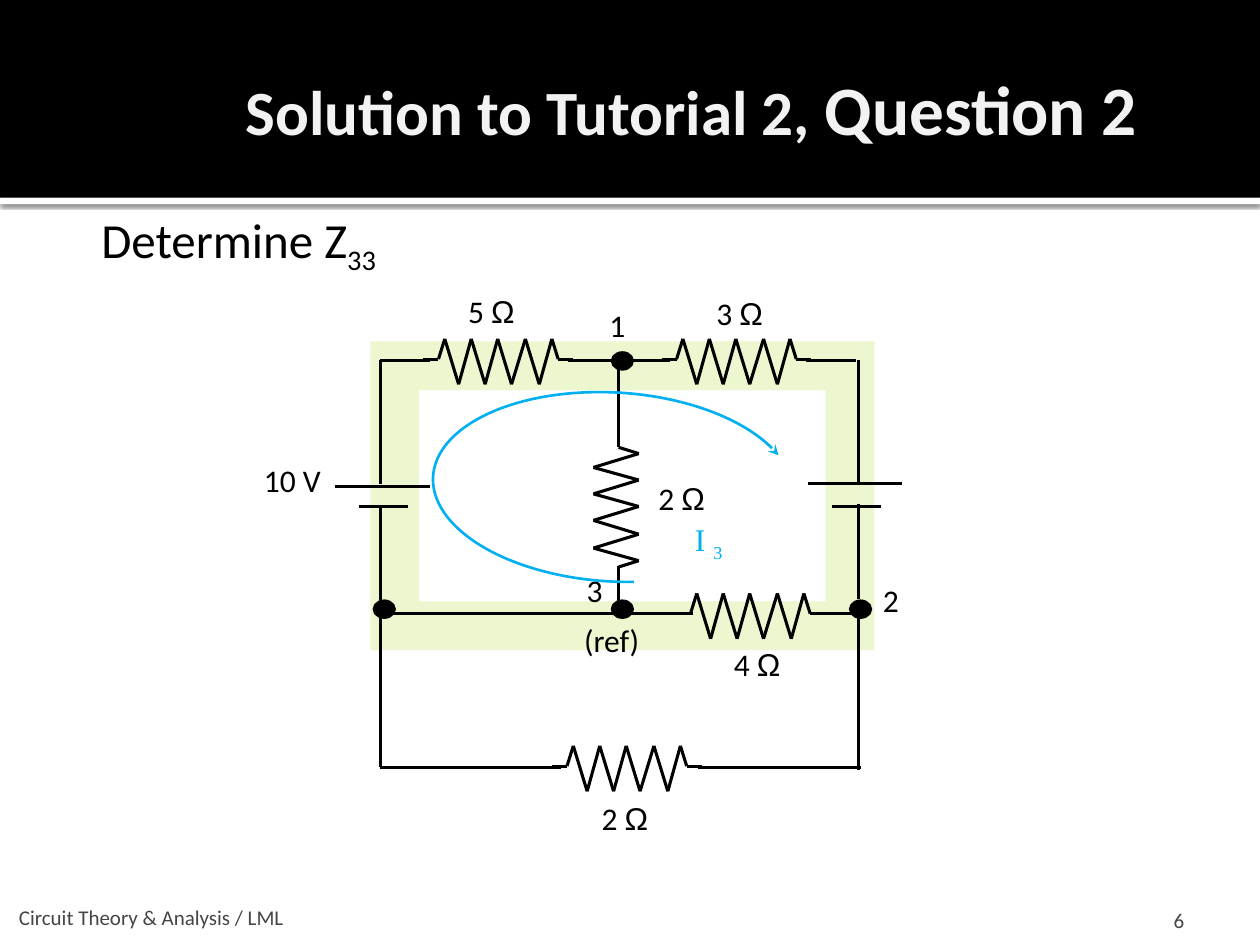
from dataclasses import dataclass
from itertools import pairwise

from lxml.etree import SubElement as Sub
from pptx import Presentation
from pptx.dml.color import RGBColor as RGB
from pptx.enum.shapes import MSO_CONNECTOR as Conn, MSO_SHAPE as Kind
from pptx.enum.text import MSO_ANCHOR as Anchor, MSO_AUTO_SIZE as Auto, PP_ALIGN as Align
from pptx.oxml.ns import qn
from pptx.util import Inches, Pt


@dataclass(frozen=True)
class Theme:
    ink: str = "000000"
    paper: str = "FFFFFF"
    loop: str = "ECF7D0"
    flow: str = "00B0F0"
    head: str = "F2F2F2"
    foot: str = "454545"
    sans: str = "Calibri"
    ohm: str = "Arial"
    serif: str = "Times New Roman"
    small: float = 12
    label: float = 18
    body: float = 28
    title: float = 36
    large: float = 39.6
    wire: float = 1.75
    curve: float = 1.5


class Board:
    """Draws on a slide with a grid of 10 columns by 7.5 rows."""

    def __init__(self, deck, theme):
        self.theme = theme
        self.slide = deck.slides.add_slide(deck.slide_layouts[6])
        self.cell = deck.slide_width / 10

    def grid(self, *vals):
        return [round(v * self.cell) for v in vals]

    def shape(self, kind, box, fill=None, line=None, width=None, adjust=()):
        item = self.slide.shapes.add_shape(kind, *self.grid(*box))
        item.shadow.inherit = False
        for part, color in ((item.fill, fill), (item.line.fill, line)):
            if color:
                part.solid()
                part.fore_color.rgb = RGB.from_string(color)
            else:
                part.background()
        if line:
            item.line.width = Pt(width or self.theme.wire)
        for i, val in enumerate(adjust):
            item.adjustments[i] = val
        return item

    def wire(self, start, end, home=None):
        item = (home or self.slide).shapes.add_connector(
            Conn.STRAIGHT, *self.grid(*start, *end))
        item.line.color.rgb = RGB.from_string(self.theme.ink)
        item.line.width = Pt(self.theme.wire)
        Sub(item._element.spPr, qn("a:effectLst"))

    def coil(self, x, y, down=False):
        """Resistor that starts at (x, y) and runs right or down."""
        along = [0, .12, .17, .28, .38, .49, .59, .7, .81, .92, 1.02, 1.07, 1.19]
        side = [0, 0] + [-.16, .2] * 4 + [-.16, 0, 0]
        path = [(x - b, y + a) if down else (x + a, y + b)
                for a, b in zip(along, side)]
        group = self.slide.shapes.add_group_shape()
        for start, end in pairwise(path):
            self.wire(start, end, group)

    def dot(self, x, y):
        self.shape(Kind.OVAL, (x - .08, y - .06, .16, .13),
                   self.theme.ink, self.theme.ink)

    def text(self, box, runs, align=Align.CENTER, anchor=Anchor.TOP,
             inset=0, wrap=False, **base):
        frame = self.slide.shapes.add_textbox(*self.grid(*box)).text_frame
        form = dict(word_wrap=wrap, vertical_anchor=anchor,
                    auto_size=Auto.NONE if wrap else Auto.SHAPE_TO_FIT_TEXT,
                    margin_left=Inches(inset), margin_right=Inches(inset),
                    margin_top=Inches(inset), margin_bottom=0)
        for key, val in form.items():
            setattr(frame, key, val)
        para = frame.paragraphs[0]
        para.alignment = align
        look = dict(name=self.theme.sans, size=self.theme.label,
                    color=self.theme.ink) | base
        for words, own in runs:
            style = look | own
            run = para.add_run()
            run.text = words
            run.font.color.rgb = RGB.from_string(style.pop("color"))
            style["size"] = Pt(style["size"])
            if style.pop("sub", False):
                run._r.get_or_add_rPr().set("baseline", "-25000")
            for key, val in style.items():
                setattr(run.font, key, val)

    def ohms(self, x, y, val):
        self.text((x, y, .4, .3), [(f"{val} ", {}), ("Ω", {"name": self.theme.ohm})])

    def shade(self, item):
        glow = Sub(item._element.spPr.find(qn("a:effectLst")), qn("a:outerShdw"),
                   blurRad="31750", dist="10160", dir="5400000")
        color = Sub(glow, qn("a:srgbClr"), val=self.theme.ink)
        Sub(color, qn("a:alpha"), val="60000")

    def arrow(self, box, turn, start, end):
        item = self.shape(Kind.ARC, box, None, self.theme.flow, self.theme.curve,
                          (start * .6, end * .6))
        item.rotation = turn
        Sub(item.line._get_or_add_ln(), qn("a:tailEnd"), type="stealth")


def main():
    deck = Presentation()
    deck.slide_width, deck.slide_height = Inches(10), Inches(7.5)
    look = Theme()
    board = Board(deck, look)

    # Title band
    board.shade(board.shape(Kind.RECTANGLE, (0, 1.57, 10, .05), look.paper))
    board.shape(Kind.RECTANGLE, (0, 0, 10, 1.57), look.ink)
    board.text((1.95, .17, 7.55, 1.37),
               [("Solution to Tutorial 2, ", {}), ("Question 2", {"size": look.large})],
               Align.LEFT, Anchor.MIDDLE, wrap=True,
               size=look.title, color=look.head, bold=True)
    board.text((.76, 1.66, 2.27, .47), [("Determine Z", {}), ("33", {"sub": True})],
               size=look.body)

    # Loop highlight
    board.shape(Kind.FRAME, (2.94, 2.71, 4, 2.45), look.loop, adjust=[.158])

    # Wires
    left, mid, right = 3.02, 4.91, 6.81
    top, node, low = 2.86, 4.87, 6.09
    for y, x1, x2 in [
        (top, left, 3.41), (top, 4.51, mid), (top, 4.93, 5.32), (top, 6.4, 6.79),
        (node, left, 5.5), (node, 6.44, 6.84),
        (low, left, 4.45), (low, 5.54, 6.83),
    ]:
        board.wire((x1, y), (x2, y))
    for x, y1, y2 in [
        (left, top, 3.84), (left, 4.01, node), (left, node, low),
        (mid, top, 3.43), (mid, 4.49, 4.89),
        (right, top, 3.84), (right, 4, 4.75), (right, 4.89, 6.11),
    ]:
        board.wire((x, y1), (x, y2))

    # Cells: long and short plate
    for x, y in [(2.66, 3.86), (6.41, 3.84)]:
        board.wire((x, y), (x + .75, y))
        board.wire((x + .19, 4.02), (x + .58, 4.02))

    # Resistors and nodes
    for x, y in [(3.36, 2.85), (5.25, 2.85), (5.36, node), (4.38, 6.08)]:
        board.coil(x, y)
    board.coil(mid, 3.43, down=True)
    for x, y in [(4.94, top), (3.05, 4.83), (4.94, 4.83), (6.83, 4.83)]:
        board.dot(x, y)

    # Labels
    for x, y, val in [(3.7, 2.32, 5), (5.67, 2.33, 3), (5.21, 3.8, 2),
                      (5.81, 5.12, 4), (4.76, 6.34, 2)]:
        board.ohms(x, y, val)
    for x, y, wide, words in [
        (4.83, 2.43, .14, "1"), (7, 4.61, .14, "2"), (4.65, 4.53, .14, "3"),
        (4.62, 4.93, .47, "(ref)"), (2.06, 3.66, .52, "10 V"),
    ]:
        board.text((x, y, wide, .3), [(words, {})])

    # Mesh current
    board.arrow((4.12, 2.43, 1.5, 2.87), 273.3, 164.69, 75.84)
    board.text((5.31, 4.13, .63, .29), [("I ", {}), ("3", {"sub": True})],
               name=look.serif, color=look.flow)

    # Footer
    for box, words, align in [
        ((.1, 7.08, 6.02, .3), "Circuit Theory & Analysis / LML", Align.LEFT),
        ((8.7, 7.1, .75, .3), "6", Align.RIGHT),
    ]:
        board.text(box, [(words, {})], align, Anchor.BOTTOM, .05, True,
                   size=look.small, color=look.foot)

    deck.save("out.pptx")


if __name__ == "__main__":
    main()
